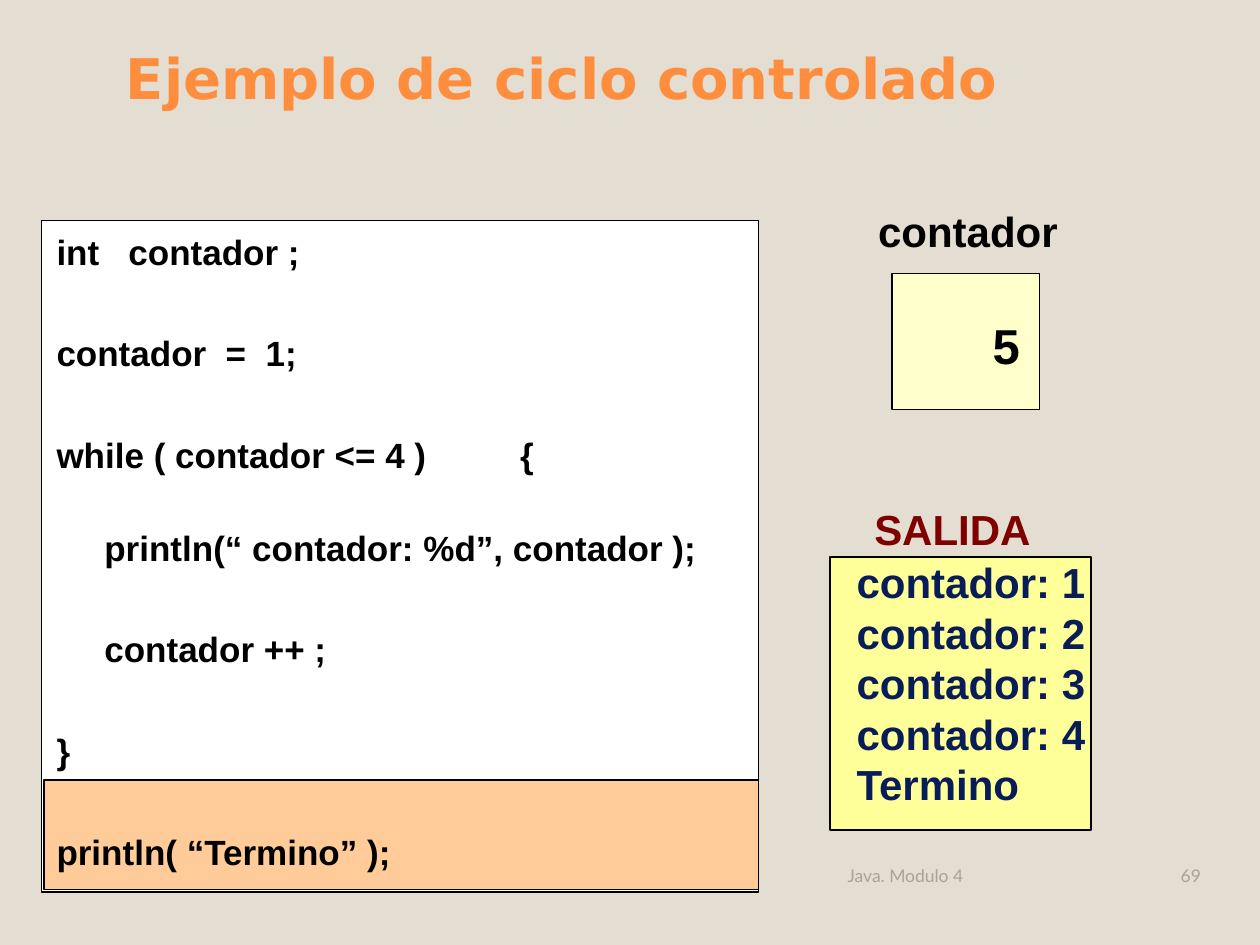
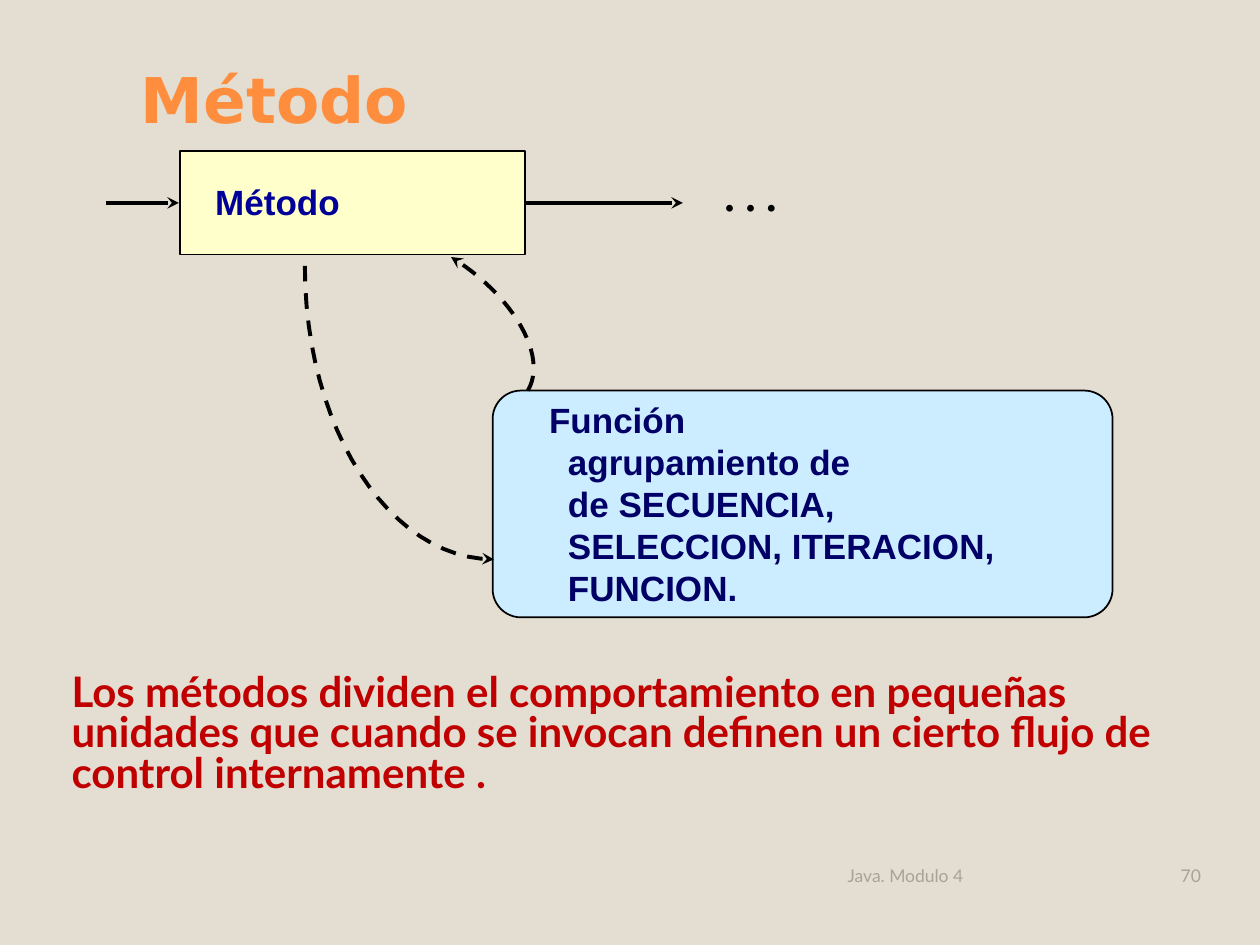
"""Builds two slides on a controlled loop and on methods."""
from typing import Any, NamedTuple, Optional

from lxml import etree
from pptx import Presentation
from pptx.dml.color import RGBColor
from pptx.enum.dml import MSO_LINE
from pptx.enum.shapes import MSO_CONNECTOR, MSO_SHAPE
from pptx.enum.text import MSO_ANCHOR, PP_ALIGN
from pptx.oxml.ns import qn
from pptx.util import Inches, Pt

COLUMNS, ROWS = 100, 75
CELL = Inches(0.1)
CURVE_STEPS = 24
ARIAL_LEADING = 1.2
CODE_GAP, CODE_BLANK_LINE = 5, 34

RECT, ROUNDED = MSO_SHAPE.RECTANGLE, MSO_SHAPE.ROUNDED_RECTANGLE
STRAIGHT, DASH = MSO_CONNECTOR.STRAIGHT, MSO_LINE.DASH
TOP, BOTTOM = MSO_ANCHOR.TOP, MSO_ANCHOR.BOTTOM
LEFT, RIGHT = PP_ALIGN.LEFT, PP_ALIGN.RIGHT

SAND = RGBColor(0xE3, 0xDE, 0xD1)
ORANGE = RGBColor(0xFF, 0x8D, 0x3E)
GREY = RGBColor(0xA7, 0xA3, 0x99)
BLACK = RGBColor(0, 0, 0)
WHITE = RGBColor(0xFF, 0xFF, 0xFF)
CREAM = RGBColor(0xFF, 0xFF, 0xCC)
YELLOW = RGBColor(0xFF, 0xFF, 0x99)
PEACH = RGBColor(0xFF, 0xCC, 0x99)
SKY = RGBColor(0xCC, 0xEC, 0xFF)
MAROON = RGBColor(0x80, 0, 0)
RED = RGBColor(0xC0, 0, 0)
NAVY = RGBColor(0x08, 0x1D, 0x58)
BLUE = RGBColor(0, 0, 0x99)
DARK_BLUE = RGBColor(0, 0, 0x66)


class Area(NamedTuple):
    """A place on the grid, in columns and rows."""
    column: float
    row: float
    width: float
    height: float


class Style(NamedTuple):
    """The look of a line of text."""
    font: str
    size: float
    color: RGBColor
    bold: bool = True
    spacing: Optional[float] = None


class Line(NamedTuple):
    """A paragraph with its indent and tab stop in columns."""
    text: str
    style: Style
    indent: float = 0
    before: float = 0
    tab: float = 0
    align: Any = LEFT


class Panel(NamedTuple):
    """A filled and outlined shape."""
    area: Area
    fill: RGBColor
    kind: Any = RECT


class Curve(NamedTuple):
    """Four Bezier control points on the grid, ending at the arrowhead."""
    start: tuple[float, float]
    leave: tuple[float, float]
    reach: tuple[float, float]
    end: tuple[float, float]


def arial(size: float, color: RGBColor) -> Style:
    """Return a bold Arial style with fixed leading."""
    return Style("Arial", size, color, spacing=Pt(size * ARIAL_LEADING))


CODE = arial(20, BLACK)
LABEL = arial(24, BLACK)
OUTPUT = arial(24, NAVY)
FUNCTION = arial(20, DARK_BLUE)
FOOTER = Style("Lato", 10, GREY, bold=False)
FOOTER_AREA = Area(66.3, 66.8, 25, 4)
NUMBER_AREA = Area(91.3, 66.8, 5, 4)

LOOP_PANELS = [
    Panel(Area(65.9, 44.2, 20.7, 21.7), YELLOW),
    Panel(Area(70.8, 21.7, 11.7, 10.8), CREAM),
    Panel(Area(3.3, 17.5, 56.9, 53.3), WHITE),
    Panel(Area(3.5, 61.9, 56.7, 8.7), PEACH),
]
LOOP_CODE = [
    Line("int   contador ;", CODE),
    Line("contador  =  1;", CODE, before=CODE_BLANK_LINE),
    Line("while ( contador <= 4 )\t{", CODE, before=CODE_BLANK_LINE, tab=36.8),
    Line("println(“ contador: %d”, contador );", CODE, 3.8, CODE_GAP + 24),
    Line("contador ++ ;", CODE, 3.8, CODE_BLANK_LINE),
    Line("}", CODE, before=CODE_BLANK_LINE),
    Line("println( “Termino” );", CODE, before=CODE_BLANK_LINE),
]
LOOP_OUTPUT = [
    Line("SALIDA", arial(24, MAROON), 13.2),
    Line("contador: 1", OUTPUT, 11.8, 1.5),
    *(Line(f"contador: {count}", OUTPUT, 11.8) for count in (2, 3, 4)),
    Line("Termino", OUTPUT, 11.8),
]
METHOD_PANELS = [
    Panel(Area(39.1, 31, 49.2, 18), SKY, ROUNDED),
    Panel(Area(14.3, 12, 27.4, 8.2), CREAM),
]
FUNCTION_LINES = [
    Line("Función", FUNCTION),
    *(Line(text, FUNCTION, 1.5) for text in (
        "agrupamiento de", "de SECUENCIA,", "SELECCION, ITERACION,", "FUNCION.")),
]
FLOW_ROW = 16.1
FLOW_ARROWS = [(8.4, 14.2), (41.7, 54.2)]
CALL_CURVES = [
    Curve((24.2, 21.1), (24.2, 34), (30.9, 44.4), (39.2, 44.4)),
    Curve((41.9, 31), (43.5, 28.3), (40.8, 23.5), (35.8, 20.4)),
]


def cells(*counts: float) -> list[int]:
    """Turn grid counts into lengths."""
    return [round(count * CELL) for count in counts]


def assign(target: Any, formats: dict[str, Any]) -> None:
    """Set each named attribute of the target."""
    for name, value in formats.items():
        setattr(target, name, value)


def write(page: Any, area: Area, lines: list[Line], anchor: Any = TOP) -> None:
    """Add a text box holding the lines."""
    box = page.shapes.add_textbox(*cells(*area))
    frame = box.text_frame
    assign(frame, {"word_wrap": True, "vertical_anchor": anchor})
    for index, line in enumerate(lines):
        para = frame.add_paragraph() if index else frame.paragraphs[0]
        style = line.style
        properties = box.element.txBody.p_lst[index].get_or_add_pPr()
        properties.set("marL", str(cells(line.indent)[0]))
        if line.tab:
            stops = etree.SubElement(properties, qn("a:tabLst"))
            etree.SubElement(stops, qn("a:tab"),
                             pos=str(cells(line.tab)[0]), algn="l")
        assign(para, {"alignment": line.align, "line_spacing": style.spacing})
        if index:
            para.space_before = Pt(line.before)
        span = para.add_run()
        span.text = line.text
        assign(span.font, {"name": style.font, "size": Pt(style.size),
                           "bold": style.bold})
        span.font.color.rgb = style.color


def outline(shape: Any, width: float) -> None:
    """Give a shape a black line."""
    shape.line.color.rgb = BLACK
    shape.line.width = Pt(width)


def draw_panel(page: Any, panel: Panel) -> None:
    """Draw a filled panel."""
    shape = page.shapes.add_shape(panel.kind, *cells(*panel.area))
    shape.shadow.inherit = False
    shape.fill.solid()
    shape.fill.fore_color.rgb = panel.fill
    if panel.kind == ROUNDED:
        shape.adjustments[0] = 0.125
    outline(shape, 1)


def add_arrowhead(shape: Any) -> None:
    """End the line of a shape with a stealth arrowhead."""
    line = shape.element.spPr.find(qn("a:ln"))
    etree.SubElement(line, qn("a:tailEnd"), type="stealth")


def draw_arrow(page: Any, start: float, end: float) -> None:
    """Draw a level arrow along the flow row."""
    arrow = page.shapes.add_connector(
        STRAIGHT, *cells(start, FLOW_ROW, end, FLOW_ROW))
    outline(arrow, 2.25)
    add_arrowhead(arrow)
    etree.SubElement(arrow.element.spPr, qn("a:effectLst"))


def curve_point(curve: Curve, share: float) -> list[int]:
    """Return the point at a share of the way along the curve."""
    rest = 1 - share
    weights = (rest ** 3, 3 * rest ** 2 * share, 3 * rest * share ** 2, share ** 3)
    return cells(*(sum(weight * point[axis] for weight, point in zip(weights, curve))
                   for axis in (0, 1)))


def draw_curve(page: Any, curve: Curve) -> None:
    """Draw a dashed curved arrow."""
    builder = page.shapes.build_freeform(*cells(*curve.start))
    builder.add_line_segments(
        [curve_point(curve, step / CURVE_STEPS) for step in range(1, CURVE_STEPS + 1)],
        close=False)
    shape = builder.convert_to_shape()
    shape.shadow.inherit = False
    shape.fill.background()
    outline(shape, 2.25)
    shape.line.dash_style = DASH
    add_arrowhead(shape)


def add_page(deck: Any, title: str, area: Area, size: float, number: int) -> Any:
    """Add a page with background, title and footer."""
    page = deck.slides.add_slide(deck.slide_layouts[6])
    page.background.fill.solid()
    page.background.fill.fore_color.rgb = SAND
    write(page, area, [Line(title, Style("DejaVu Sans", size, ORANGE))], BOTTOM)
    write(page, FOOTER_AREA, [Line("Java. Modulo 4", FOOTER)], BOTTOM)
    write(page, NUMBER_AREA, [Line(str(number), FOOTER, align=RIGHT)], BOTTOM)
    return page


def build_loop_page(deck: Any) -> None:
    """Show the loop code, its counter and its output."""
    page = add_page(deck, "Ejemplo de ciclo controlado",
                    Area(9, 2.8, 85.8, 6.5), 32, 69)
    for panel in LOOP_PANELS:
        draw_panel(page, panel)
    write(page, Area(64.2, 15.8, 24.2, 21.7), [
        Line("contador", LABEL, 4.5),
        Line("5", arial(28, BLACK), 13.6, 34.5),
    ])
    write(page, Area(55.2, 39.5, 32.2, 29), LOOP_OUTPUT)
    write(page, Area(3.5, 17.8, 55.1, 53.3), LOOP_CODE)


def build_method_page(deck: Any) -> None:
    """Show how a method calls a function and returns."""
    page = add_page(deck, "Método", Area(10.2, 3.9, 66.1, 7.4), 36, 70)
    for panel in METHOD_PANELS:
        draw_panel(page, panel)
    for start, end in FLOW_ARROWS:
        draw_arrow(page, start, end)
    write(page, Area(16.1, 13.8, 11.9, 4.3), [Line("Método", arial(20, BLUE))])
    write(page, Area(56.5, 13, 6.2, 5), [
        Line(". . .", Style("Times New Roman", 24, BLACK, spacing=Pt(28.8)))])
    write(page, Area(42.6, 31.1, 39.6, 17.7), FUNCTION_LINES)
    for curve in CALL_CURVES:
        draw_curve(page, curve)
    write(page, Area(4.7, 53.1, 91.4, 10.6), [Line(
        "Los métodos dividen el comportamiento en pequeñas unidades que cuando "
        "se invocan definen un cierto flujo de control internamente .",
        Style("Lato", 24, RED, spacing=0.8))])


def main() -> None:
    """Build and save the deck."""
    deck = Presentation()
    assign(deck, {"slide_width": COLUMNS * CELL, "slide_height": ROWS * CELL})
    build_loop_page(deck)
    build_method_page(deck)
    deck.save("out.pptx")


if __name__ == "__main__":
    main()
